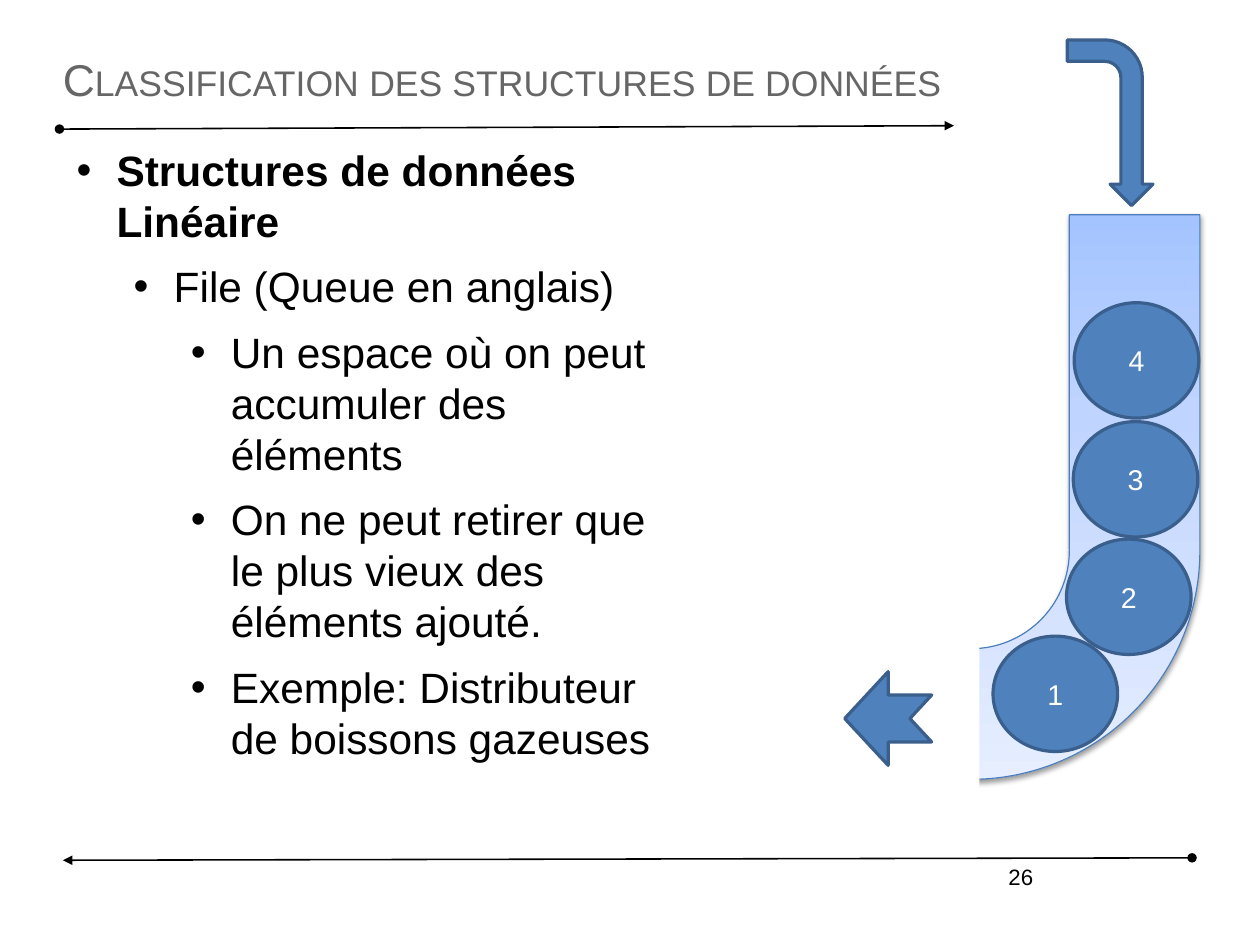
"""Slide on linear data structures: the queue, drawn as a drinks dispenser."""
from lxml import etree
from pptx import Presentation
from pptx.dml.color import RGBColor
from pptx.enum.shapes import MSO_CONNECTOR, MSO_SHAPE
from pptx.enum.text import MSO_ANCHOR, PP_ALIGN
from pptx.oxml.ns import qn
from pptx.util import Cm, Inches, Pt

TITLE = "Classification des structures de données"
POINTS = [
    (0, "Structures de données Linéaire"),
    (1, "File (Queue en anglais)"),
    (2, "Un espace où on peut accumuler des éléments"),
    (2, "On ne peut retirer que le plus vieux des éléments ajouté."),
    (2, "Exemple: Distributeur de boissons gazeuses"),
]
PAGE_NUMBER = "26"
CANS = {"1": (78.81, 67.32), "2": (84.64, 57.05), "3": (85.18, 44.62), "4": (85.25, 32.04)}
CAN_SIZE = (9.89, 12.21)
RULES = [((4.72, 13.66), (75.72, 13.3)), ((94.61, 90.78), (4.99, 91.03))]
TITLE_BOX = (4.99, 3.99, 90, 8.71)
POINTS_BOX = (4.99, 15.24, 49, 74.12)
NUMBER_BOX = (59.58, 90.78, 23.31, 6.89)
CHUTE_BOX = (53.77, 22.73, 41.46, 59.73)
CHUTE_COVER_BOX = (52.79, 31.44, 24.95, 57.44)
ENTRY_BOX = (81.53, 8.46, 13.15, 9.07)
EXIT_BOX = (67.04, 71.07, 6.9, 9.92)

BLACK = RGBColor(0x00, 0x00, 0x00)
WHITE = RGBColor(0xFF, 0xFF, 0xFF)
GREY = RGBColor(0x66, 0x66, 0x66)
BLUE = RGBColor(0x4F, 0x81, 0xBD)
DARK_BLUE = RGBColor(0x3A, 0x5F, 0x8C)
CHUTE_EDGE = RGBColor(0x4B, 0x7E, 0xBC)
CHUTE_STOPS = [
    (0, RGBColor(0xA4, 0xC4, 0xFF)),
    (35, RGBColor(0xBF, 0xD4, 0xFF)),
    (100, RGBColor(0xE6, 0xEE, 0xFF)),
]
RECTANGLE, CAN = MSO_SHAPE.RECTANGLE, MSO_SHAPE.FLOWCHART_CONNECTOR
U_TURN, BENT, NOTCHED = MSO_SHAPE.U_TURN_ARROW, MSO_SHAPE.BENT_ARROW, MSO_SHAPE.NOTCHED_RIGHT_ARROW
STRAIGHT = MSO_CONNECTOR.STRAIGHT
LEFT, CENTER, RIGHT = PP_ALIGN.LEFT, PP_ALIGN.CENTER, PP_ALIGN.RIGHT
TOP, MIDDLE = MSO_ANCHOR.TOP, MSO_ANCHOR.MIDDLE

deck = Presentation()
deck.slide_width = Cm(28)
deck.slide_height = Cm(21)
COLUMN, ROW = deck.slide_width / 100, deck.slide_height / 100
slide = deck.slides.add_slide(deck.slide_layouts[6])


def place(*lengths):
    return [round(n * (ROW if i % 2 else COLUMN)) for i, n in enumerate(lengths)]


def add_child(parent, tag, **attributes):
    return etree.SubElement(parent, qn(tag), {k: str(v) for k, v in attributes.items()})


def add_rule(start, end):
    rule = slide.shapes.add_connector(STRAIGHT, *place(*start, *end))
    rule.line.color.rgb = BLACK
    rule.line.width = Pt(1)
    properties = rule.element.spPr
    stroke = properties.find(qn("a:ln"))
    add_child(stroke, "a:headEnd", type="oval")
    add_child(stroke, "a:tailEnd", type="triangle")
    add_child(properties, "a:effectLst")


def add_figure(kind, box, fill=BLUE, edge=DARK_BLUE, width=2, turn=0):
    figure = slide.shapes.add_shape(kind, *place(*box))
    figure.shadow.inherit = False
    figure.rotation = turn
    figure.fill.solid()
    figure.fill.fore_color.rgb = fill
    if edge is None:
        figure.line.fill.background()
    else:
        figure.line.color.rgb = edge
        figure.line.width = Pt(width)
    return figure


def write(holder, lines, size, color=BLACK, align=LEFT, anchor=TOP, inset=(0, 0),
          bulleted=False, small_caps=False):
    frame = holder.text_frame
    frame.word_wrap = True
    frame.vertical_anchor = anchor
    frame.margin_left = frame.margin_right = Inches(inset[0])
    frame.margin_top = frame.margin_bottom = Inches(inset[1])
    for i, (level, words) in enumerate(lines):
        paragraph = frame.add_paragraph() if i else frame.paragraphs[0]
        paragraph.alignment = align
        run = paragraph.add_run()
        run.text = words
        font = run.font
        font.name, font.size, font.color.rgb = "Arial", Pt(size), color
        if small_caps:
            run.font._element.set("cap", "small")
        if bulleted:
            font.bold = level == 0
            paragraph.level = level
            paragraph.space_before = Pt(9.4)
            paragraph.line_spacing = Pt(32)
            layout = paragraph._p.get_or_add_pPr()
            layout.set("marL", str(Inches(0.47 + 0.5 * level)))
            layout.set("indent", str(Inches(-0.35)))
            add_child(layout, "a:buFont", typeface="Arial")
            add_child(layout, "a:buChar", char="•")


def add_chute():
    chute = add_figure(U_TURN, CHUTE_BOX, edge=CHUTE_EDGE, width=0.75, turn=180)
    chute.fill.gradient()
    chute.fill.gradient_angle = 90
    properties = chute.element.spPr
    stops = properties.find(qn("a:gradFill")).find(qn("a:gsLst"))
    stops.clear()
    for share, color in CHUTE_STOPS:
        add_child(add_child(stops, "a:gs", pos=share * 1000), "a:srgbClr", val=color)
    shadow = add_child(properties.find(qn("a:effectLst")), "a:outerShdw", blurRad=Pt(3.1),
                       dist=Pt(1.6), dir=90 * 60000, rotWithShape=0)
    add_child(add_child(shadow, "a:srgbClr", val=BLACK), "a:alpha", val=38000)


def main():
    for start, end in RULES:
        add_rule(start, end)
    write(slide.shapes.add_textbox(*place(*NUMBER_BOX)), [(0, PAGE_NUMBER)], 14,
          align=RIGHT, inset=(0.1, 0.05))
    write(slide.shapes.add_textbox(*place(*TITLE_BOX)), [(0, TITLE)], 28,
          color=GREY, anchor=MIDDLE, small_caps=True)
    write(add_figure(RECTANGLE, POINTS_BOX, WHITE, None), POINTS, 26.7, bulleted=True)
    add_chute()
    add_figure(RECTANGLE, CHUTE_COVER_BOX, WHITE, None)
    for number, corner in CANS.items():
        write(add_figure(CAN, corner + CAN_SIZE), [(0, number)], 18, color=WHITE,
              align=CENTER, anchor=MIDDLE, inset=(0.1, 0.05))
    add_figure(BENT, ENTRY_BOX, turn=90)
    add_figure(NOTCHED, EXIT_BOX, turn=180)
    deck.save("out.pptx")


if __name__ == "__main__":
    main()
